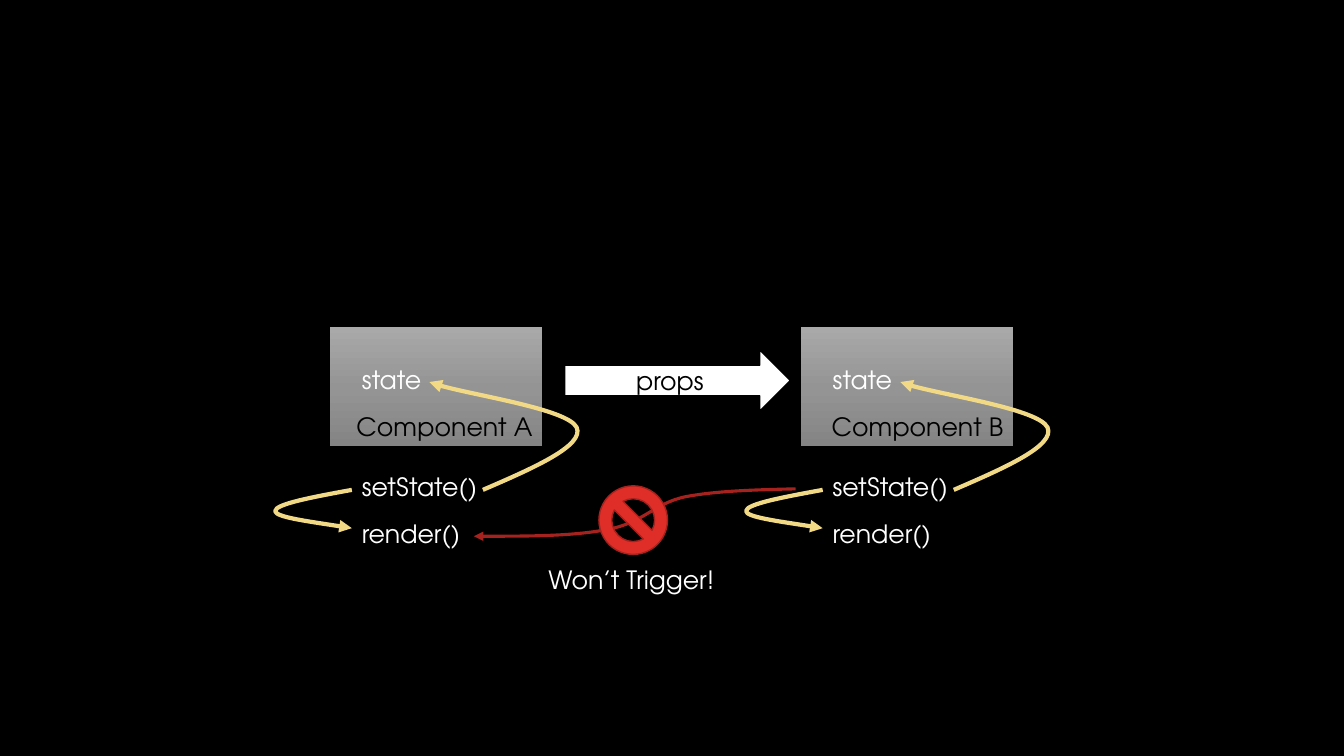
from copy import deepcopy
from dataclasses import dataclass

from lxml.etree import SubElement
from pptx import Presentation
from pptx.dml.color import RGBColor
from pptx.enum.shapes import MSO_SHAPE as SHAPE
from pptx.enum.text import MSO_ANCHOR as ANCHOR, MSO_AUTO_SIZE as AUTO_SIZE, PP_ALIGN as ALIGN
from pptx.oxml.ns import qn
from pptx.shapes.autoshape import Shape
from pptx.slide import Slide
from pptx.text.text import TextFrame
from pptx.util import Inches, Pt

FONT = "TeX Gyre Adventor"
BLACK, WHITE = "000000", "FFFFFF"
YELLOW, RED, DARK_RED = "F2D986", "DF2E28", "A5221E"
BOX_GRADIENT = [(0, "A9A9A9"), (0.52, "949494"), (1, "848484")]

Point = tuple[float, float]


@dataclass
class Label:
    text: str
    left: float
    top: float
    width: float


@dataclass
class Curve:
    """A start point, then Bézier segments of two control points and an end point."""
    start: Point
    segments: list[tuple[Point, Point, Point]]

    def shifted(self, dx: float) -> "Curve":
        x, y = self.start
        return Curve((x + dx, y), [tuple((px + dx, py) for px, py in seg)
                                   for seg in self.segments])


@dataclass
class Component:
    name: str
    dx: float


COMPONENTS = [Component("Component A", 0), Component("Component B", 4.67)]
LABELS = [
    Label("state", 3.49, 3.57, 0.84),
    Label("setState()", 3.49, 4.63, 1.37),
    Label("render()", 3.49, 5.09, 1.2),
]
TO_STATE = Curve((4.79, 4.86), [
    ((5.3, 4.64), (5.8, 4.42), (5.72, 4.24)),
    ((5.63, 4.06), (4.49, 3.89), (4.26, 3.79)),
])
TO_RENDER = Curve((3.49, 4.86), [
    ((3.11, 4.93), (2.73, 5), (2.73, 5.07)),
    ((2.73, 5.13), (3.11, 5.18), (3.49, 5.24)),
])
BLOCKED = Curve((7.89, 4.85), [
    ((7.49, 4.86), (7.1, 4.87), (6.79, 4.93)),
    ((6.48, 5), (6.39, 5.18), (6.04, 5.25)),
    ((5.69, 5.32), (5.2, 5.32), (4.7, 5.32)),
])


def rgb(value: str) -> RGBColor:
    return RGBColor.from_string(value)


def add_text(tf: TextFrame, text: str, color: str, align: ALIGN = ALIGN.LEFT) -> None:
    p = tf.paragraphs[0]
    p.alignment = align
    r = p.add_run()
    r.text = text
    r.font.name, r.font.size = FONT, Pt(18)
    r.font.color.rgb = rgb(color)


def add_label(slide: Slide, label: Label, dx: float = 0) -> None:
    box = slide.shapes.add_textbox(Inches(label.left + dx), Inches(label.top),
                                   Inches(label.width), Inches(0.4))
    box.text_frame.word_wrap = False
    box.text_frame.auto_size = AUTO_SIZE.SHAPE_TO_FIT_TEXT
    add_text(box.text_frame, label.text, WHITE)


def outline(sp: Shape, color: str, width: float) -> None:
    sp.shadow.inherit = False
    sp.line.color.rgb = rgb(color)
    sp.line.width = Pt(width)


def add_preset(slide: Slide, kind: SHAPE, left: float, top: float, width: float,
               height: float, fill: str, line: str, line_width: float = 1) -> Shape:
    sp = slide.shapes.add_shape(kind, Inches(left), Inches(top),
                                Inches(width), Inches(height))
    sp.fill.solid()
    sp.fill.fore_color.rgb = rgb(fill)
    outline(sp, line, line_width)
    return sp


def shade(sp: Shape, stops: list[tuple[float, str]]) -> None:
    """Fill from top to bottom with a gradient of three stops."""
    sp.fill.gradient()
    sp.fill.gradient_angle = 270
    gs_list = sp.element.spPr.find(".//" + qn("a:gsLst"))
    gs_list.append(deepcopy(gs_list[0]))
    for stop, (position, color) in zip(sp.fill.gradient_stops, stops):
        stop.position = position
        stop.color.rgb = rgb(color)


def add_curved_arrow(slide: Slide, curve: Curve, color: str, width: float) -> None:
    x, y = curve.start
    builder = slide.shapes.build_freeform(Inches(x), Inches(y))
    builder.add_line_segments([(Inches(px), Inches(py)) for _, _, (px, py) in curve.segments],
                              close=False)
    sp = builder.convert_to_shape()
    sp.fill.background()
    outline(sp, color, width)

    drawn = sp.element.spPr.find(".//" + qn("a:path"))
    for straight, points in zip(drawn.findall(qn("a:lnTo")), curve.segments):
        drawn.remove(straight)
        bezier = SubElement(drawn, qn("a:cubicBezTo"))
        for px, py in points:
            SubElement(bezier, qn("a:pt"), x=str(Inches(px) - sp.left),
                       y=str(Inches(py) - sp.top))
    SubElement(sp.element.spPr.find(qn("a:ln")), qn("a:tailEnd"), type="triangle")


def add_component(slide: Slide, component: Component) -> None:
    box = add_preset(slide, SHAPE.RECTANGLE, 3.27 + component.dx, 3.24, 2.11, 1.19,
                     BLACK, BLACK, 0.75)
    shade(box, BOX_GRADIENT)
    box.text_frame.vertical_anchor = ANCHOR.BOTTOM
    add_text(box.text_frame, component.name, BLACK, ALIGN.RIGHT)
    for label in LABELS:
        add_label(slide, label, component.dx)
    for curve in (TO_STATE, TO_RENDER):
        add_curved_arrow(slide, curve.shifted(component.dx), YELLOW, 3)


def main() -> None:
    prs = Presentation()
    prs.slide_width, prs.slide_height = Inches(13.33), Inches(7.5)
    slide = prs.slides.add_slide(prs.slide_layouts[6])
    slide.background.fill.solid()
    slide.background.fill.fore_color.rgb = rgb(BLACK)

    for component in COMPONENTS:
        add_component(slide, component)

    props = add_preset(slide, SHAPE.RIGHT_ARROW, 5.6, 3.47, 2.24, 0.61, WHITE, BLACK)
    props.text_frame.vertical_anchor = ANCHOR.MIDDLE
    add_text(props.text_frame, "props", BLACK, ALIGN.CENTER)

    add_curved_arrow(slide, BLOCKED, DARK_RED, 2.25)
    add_preset(slide, SHAPE.NO_SYMBOL, 5.94, 4.82, 0.68, 0.68, RED, DARK_RED)
    add_label(slide, Label("Won’t Trigger!", 5.34, 5.55, 1.9))

    prs.save("out.pptx")


if __name__ == "__main__":
    main()
